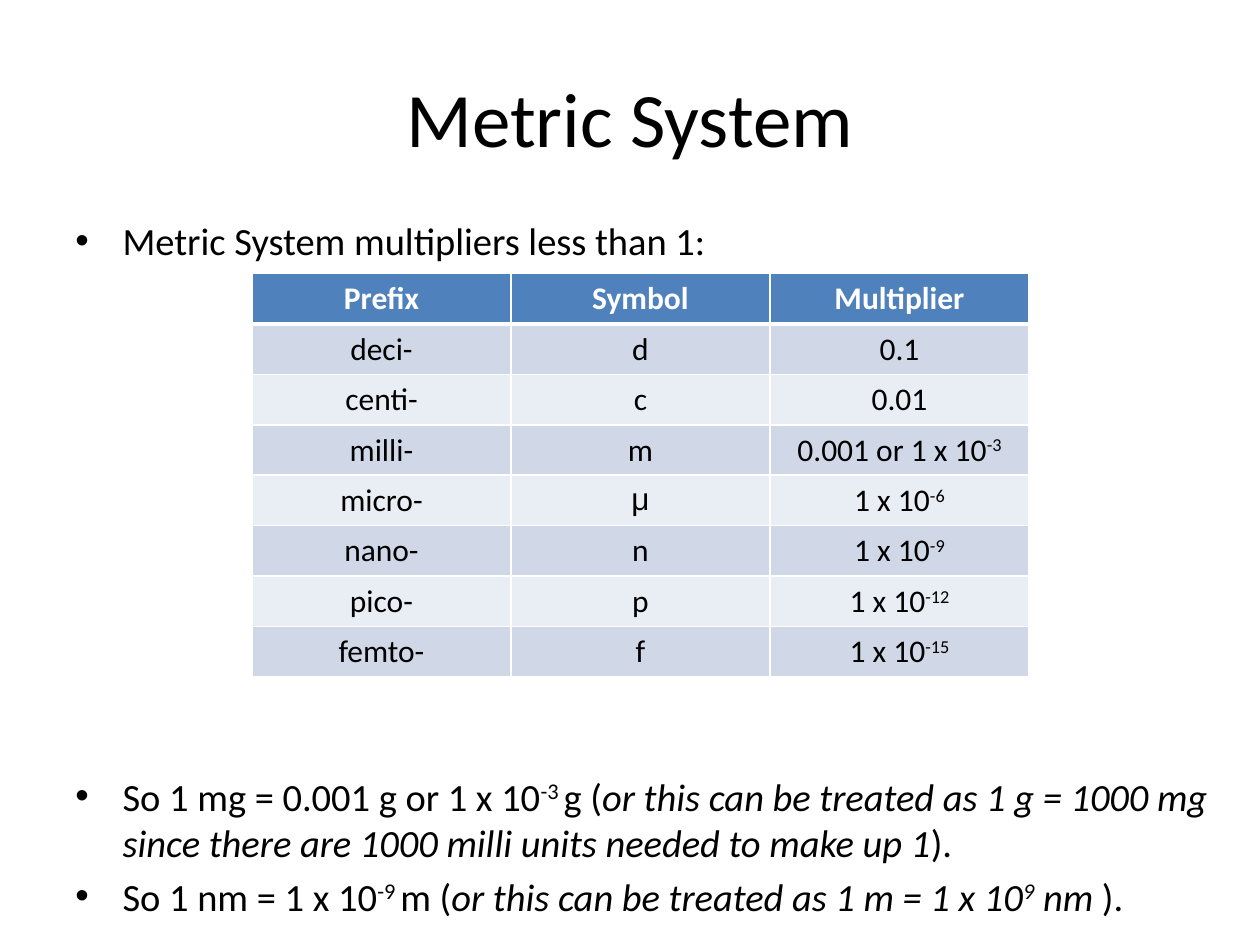
"""Build the slide on metric prefixes smaller than one."""
import pptx
import pptx.dml.color
import pptx.enum.text
import pptx.oxml.ns
import pptx.util
from lxml import etree

Pt = pptx.util.Pt
qn = pptx.oxml.ns.qn
COLOURS = {"text": "000000", "white": "FFFFFF", "header": "4F81BD",
           "odd": "D0D8E8", "even": "E9EDF4"}


def colour(name):
    return pptx.dml.color.RGBColor.from_string(COLOURS[name])


def add_spans(para, spans, size, ink="text", bold=False):
    """Add (text, style) spans; style holds ^ for superscript, i for italic."""
    for text, style in spans:
        span = para.add_run()
        span.text = text
        span.font.name = "Arial" if text == "μ" else "Calibri"
        span.font.size = Pt(size)
        span.font.bold = bold
        span.font.italic = "i" in style
        span.font.color.rgb = colour(ink)
        if "^" in style:
            span.font._element.set("baseline", "30000")


deck = pptx.Presentation()
deck.slide_width, deck.slide_height = Pt(720), Pt(540)
page = deck.slides.add_slide(deck.slide_layouts[5])
CENTER = pptx.enum.text.PP_ALIGN.CENTER

title = page.shapes.title
title.left, title.top, title.width, title.height = Pt(36), Pt(21.6), Pt(648), Pt(90)
title.text_frame.vertical_anchor = pptx.enum.text.MSO_ANCHOR.MIDDLE
title_para = title.text_frame.paragraphs[0]
title_para.alignment = CENTER
add_spans(title_para, [("Metric System", "")], 44)

bullets = [
    (0, [("Metric System multipliers less than 1:", "")]),
    (291, [("So 1 mg = 0.001 g or 1 x 10", ""), ("-3 ", "^"), ("g (", ""),
           ("or this can be treated as 1 g = 1000 mg since there are "
            "1000 milli units needed to make up 1", "i"), (").", "")]),
    (4.4, [("So 1 nm = 1 x 10", ""), ("-9 ", "^"), ("m (", ""),
           ("or this can be treated as 1 m = 1 x 10", "i"), ("9", "i^"),
           (" nm ", "i"), (").", "")]),
]
box = page.shapes.add_textbox(Pt(36), Pt(120.5), Pt(684), Pt(362))
box.text_frame.word_wrap = True
for index, (gap, spans) in enumerate(bullets):
    para = box.text_frame.add_paragraph() if index else box.text_frame.paragraphs[0]
    para.space_before = Pt(gap)
    properties = para._p.get_or_add_pPr()
    properties.set("marL", str(Pt(27)))
    properties.set("indent", str(Pt(-27)))
    etree.SubElement(properties, qn("a:buFont"), typeface="Arial")
    etree.SubElement(properties, qn("a:buChar"), char="•")
    add_spans(para, spans, 22)

prefixes = [
    ("Prefix", "Symbol", "Multiplier", ""),
    ("deci-", "d", "0.1", ""),
    ("centi-", "c", "0.01", ""),
    ("milli-", "m", "0.001 or 1 x 10", "-3"),
    ("micro-", "μ", "1 x 10", "-6"),
    ("nano-", "n", "1 x 10", "-9"),
    ("pico-", "p", "1 x 10", "-12"),
    ("femto-", "f", "1 x 10", "-15"),
]
table = page.shapes.add_table(len(prefixes), 3, Pt(144), Pt(156.24),
                              Pt(444), Pt(28.8 * len(prefixes))).table
for row, (prefix, symbol, multiplier, exponent) in enumerate(prefixes):
    header = row == 0
    fill = "header" if header else ("odd" if row % 2 else "even")
    power = [(exponent, "^")] if exponent else []
    cells = [[(prefix, "")], [(symbol, "")], [(multiplier, "")] + power]
    for column, spans in enumerate(cells):
        cell = table.cell(row, column)
        borders = cell._tc.get_or_add_tcPr()
        for side in ("L", "R", "T", "B"):
            thick = (header and side == "B") or (row == 1 and side == "T")
            line = etree.SubElement(borders, qn("a:ln" + side), w=str(Pt(3 if thick else 1)))
            solid = etree.SubElement(line, qn("a:solidFill"))
            etree.SubElement(solid, qn("a:srgbClr"), val=COLOURS["white"])
        cell.fill.solid()
        cell.fill.fore_color.rgb = colour(fill)
        para = cell.text_frame.paragraphs[0]
        para.alignment = CENTER
        add_spans(para, spans, 18, "white" if header else "text", header)

deck.save("out.pptx")
